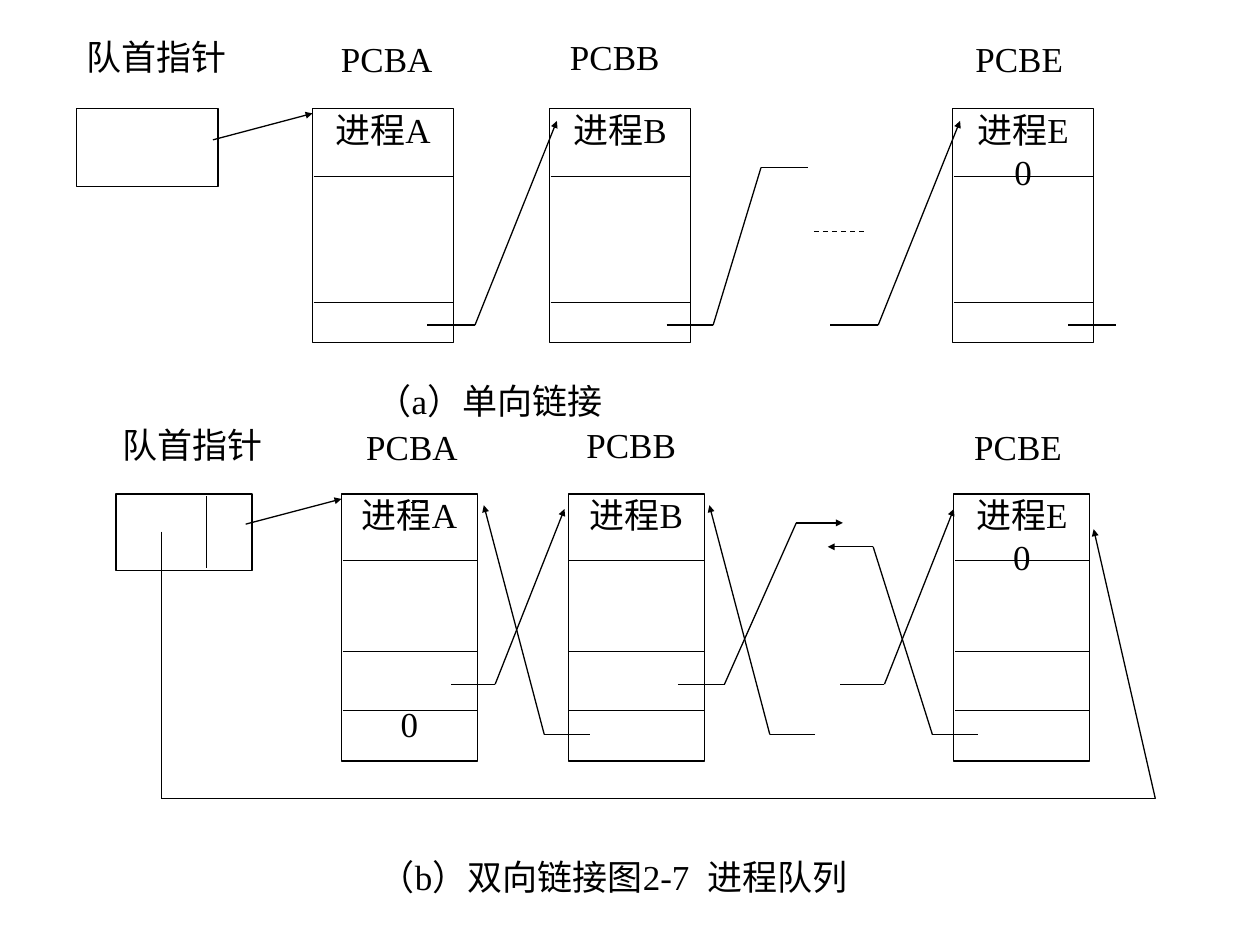
import pptx
import pptx.util
import pptx.dml.color
import pptx.enum.dml
import pptx.enum.shapes
import pptx.enum.text
import pptx.oxml.ns
from lxml import etree

Inches = pptx.util.Inches
Pt = pptx.util.Pt
MSO_ANCHOR = pptx.enum.text.MSO_ANCHOR
PP_ALIGN = pptx.enum.text.PP_ALIGN
qn = pptx.oxml.ns.qn

COLORS = {"ink": "000000", "paper": "FFFFFF"}
FONT = {"size": Pt(20), "name": "Times New Roman", "bold": False}
TIGHT = {"margin_left": 0, "margin_right": 0, "margin_top": 0,
         "margin_bottom": 0, "word_wrap": True,
         "vertical_anchor": MSO_ANCHOR.TOP}
LOOSE = {"word_wrap": True, "vertical_anchor": MSO_ANCHOR.MIDDLE,
         "auto_size": pptx.enum.text.MSO_AUTO_SIZE.SHAPE_TO_FIT_TEXT}


def color(key):
    return pptx.dml.color.RGBColor.from_string(COLORS[key])


def apply(item, style):
    for key, value in style.items():
        setattr(item, key, value)


def write(shape, lines, style=TIGHT, align=PP_ALIGN.CENTER, gap=0):
    frame = shape.text_frame
    apply(frame, style)
    for i, text in enumerate(lines):
        para = frame.paragraphs[0] if i == 0 else frame.add_paragraph()
        para.alignment = align
        if i and gap:
            para.space_before = Pt(gap)
        run = para.add_run()
        run.text = text
        apply(run.font, FONT)
        run.font.color.rgb = color("ink")


def box(shapes, left, top, width, height):
    shape = shapes.add_shape(pptx.enum.shapes.MSO_SHAPE.RECTANGLE,
                             Inches(left), Inches(top), Inches(width), Inches(height))
    shape.shadow.inherit = False
    shape.fill.solid()
    shape.fill.fore_color.rgb = color("paper")
    shape.line.color.rgb = color("ink")
    shape.line.width = Pt(0.75)
    return shape


def line(shapes, start, end, arrow=False, dash=False):
    link = shapes.add_connector(pptx.enum.shapes.MSO_CONNECTOR.STRAIGHT,
                                *map(Inches, (*start, *end)))
    link.line.color.rgb = color("ink")
    link.line.width = Pt(0.75)
    if dash:
        link.line.dash_style = pptx.enum.dml.MSO_LINE.DASH
    props = link._element.spPr
    if arrow:
        etree.SubElement(props.find(qn("a:ln")), qn("a:tailEnd"),
                         type="triangle", w="sm", len="sm")
    etree.SubElement(props, qn("a:effectLst"))


def route(shapes, points, arrow=False):
    last = len(points) - 2
    for i, (start, end) in enumerate(zip(points, points[1:])):
        line(shapes, start, end, arrow and i == last)


def label(shapes, text, left, top, width, height, **style):
    shape = shapes.add_textbox(Inches(left), Inches(top), Inches(width), Inches(height))
    write(shape, [text], **style)


def block(shapes, left, top, width, height, lines, cuts, gap=0):
    write(box(shapes, left, top, width, height), lines, gap=gap)
    for cut in cuts:
        line(shapes, (left + 0.01, top + cut), (left + width, top + cut))


def heads(shapes, lefts, top, width):
    names = ["队首指针", "PCBA", "PCBB", "PCBE"]
    for i, (name, left) in enumerate(zip(names, lefts)):
        label(shapes, name, left, top + 0.02 * (i % 2), width, 0.57)


def single(shapes):
    top, width = 0.86, 1.12
    box(shapes, 0.61, top, width, 0.62)
    for left, lines in ((2.48, ["进程A"]), (4.36, ["进程B"]), (7.56, ["进程E", "0"])):
        block(shapes, left, top, width, 1.86, lines, (0.54, 1.54))
    low = 2.58
    line(shapes, (1.69, 1.11), (2.48, 0.9), arrow=True)
    for left in (3.39, 6.59):
        route(shapes, [(left, low), (left + 0.38, low), (left + 1.03, 0.96)], arrow=True)
    route(shapes, [(5.29, low), (5.66, low), (6.04, 1.33), (6.41, 1.33)])
    line(shapes, (8.48, low), (8.86, low))
    line(shapes, (6.46, 1.84), (6.86, 1.84), dash=True)
    heads(shapes, (0.51, 2.34, 4.15, 7.36), 0.28, 1.46)


def double(shapes):
    top, width = 3.92, 1.08
    box(shapes, 0.92, top, width, 0.61)
    line(shapes, (1.64, 3.94), (1.64, 4.51))
    for left, lines, gap in ((2.71, ["进程A", "0"], 95), (4.51, ["进程B"], 0),
                             (7.57, ["进程E", "0"], 0)):
        block(shapes, left, top, width, 2.12, lines, (0.53, 1.25, 1.72), gap)
    next_y, back_y = 5.43, 5.83
    line(shapes, (1.95, 4.16), (2.71, 3.96), arrow=True)
    for left in (3.58, 6.67):
        route(shapes, [(left, next_y), (left + 0.35, next_y), (left + 0.9, 4.04)], arrow=True)
    for left in (4.68, 6.47):
        route(shapes, [(left, back_y), (left - 0.36, back_y), (left - 0.84, 4.01)], arrow=True)
    route(shapes, [(5.38, next_y), (5.75, next_y), (6.32, 4.15), (6.69, 4.15)], arrow=True)
    route(shapes, [(7.76, back_y), (7.4, back_y), (6.93, 4.34), (6.57, 4.34)], arrow=True)
    route(shapes, [(1.28, 4.22), (1.28, 6.34), (9.17, 6.34), (8.68, 4.2)], arrow=True)
    heads(shapes, (0.83, 2.57, 4.31, 7.38), 3.36, 1.4)


def main():
    deck = pptx.Presentation()
    deck.slide_width, deck.slide_height = Inches(10), Inches(7.5)
    shapes = deck.slides.add_slide(deck.slide_layouts[6]).shapes
    for draw in (single, double):
        draw(shapes.add_group_shape().shapes)
    line(shapes, (3.19, 3.99), (3.38, 3.99), dash=True)
    label(shapes, "（a）单向链接", 2.89, 2.96, 2.3, 0.44,
          style={**LOOSE, "margin_right": 0}, align=PP_ALIGN.LEFT)
    label(shapes, "（b）双向链接图2-7  进程队列", 2.32, 6.74, 5.1, 0.44, style=LOOSE)
    deck.save("out.pptx")


if __name__ == "__main__":
    main()
